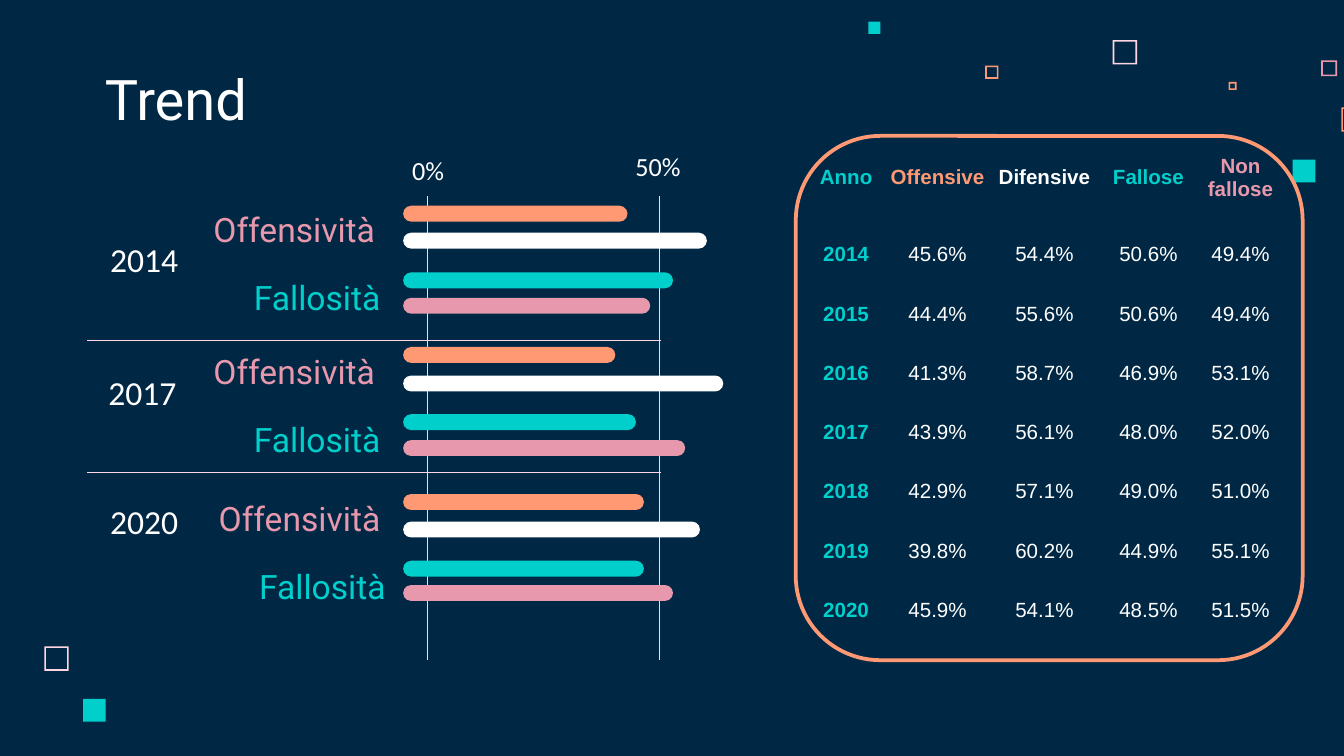
from lxml import etree
from pptx import Presentation, util as u
from pptx.dml.color import RGBColor
from pptx.enum import shapes, text
from pptx.oxml.ns import qn

COLORS = {
    "navy": "002845", "white": "FFFFFF", "orange": "FF9973",
    "teal": "00CFCC", "rose": "E898AC", "blush": "FFD6E1",
}
NO_GRID_STYLE = "{2D5ABB26-0587-4C30-8999-92F81FD0307C}"

presentation = Presentation()
presentation.slide_width, presentation.slide_height = u.Cm(25.4), u.Cm(14.29)
slide = presentation.slides.add_slide(presentation.slide_layouts[5])
slide.background.fill.solid()
slide.background.fill.fore_color.rgb = RGBColor.from_string(COLORS["navy"])


def add_filled(kind, left, top, width, height, color, adjustment=None):
    shape = slide.shapes.add_shape(kind, u.Cm(left), u.Cm(top), u.Cm(width), u.Cm(height))
    shape.shadow.inherit = False
    shape.fill.solid()
    shape.fill.fore_color.rgb = RGBColor.from_string(COLORS[color])
    shape.line.fill.background()
    if adjustment is not None:
        shape.adjustments[0] = adjustment


def write(frame, words, size, font, color, align=text.PP_ALIGN.LEFT, bold=False):
    frame.text = words
    frame.word_wrap = True
    paragraph = frame.paragraphs[0]
    paragraph.alignment = align
    paragraph.font.size = u.Pt(size)
    paragraph.font.name = font
    paragraph.font.bold = bold
    paragraph.font.color.rgb = RGBColor.from_string(COLORS[color])


frames = [
    (21.03, 0.76, 0.46, "blush"), (24.97, 1.14, 0.3, "rose"),
    (23.22, 1.55, 0.15, "orange"), (25.35, 2.03, 0.46, "orange"),
    (18.62, 1.24, 0.25, "orange"), (0.84, 12.22, 0.46, "blush"),
]
for left, top, size, color in frames:
    add_filled(shapes.MSO_SHAPE.FRAME, left, top, size, size, color, 0.03 / size)

squares = [(24.43, 3.02, 0.43), (16.41, 0.41, 0.23), (1.57, 13.21, 0.43)]
for left, top, size in squares:
    add_filled(shapes.MSO_SHAPE.RECTANGLE, left, top, size, size, "teal")

title = slide.shapes.title
title.left, title.top, title.width, title.height = u.Cm(1.73), u.Cm(1.14), u.Cm(13.13), u.Cm(1.6)
write(title.text_frame, "Trend", 30, "Roboto", "white")
title.text_frame.auto_size = text.MSO_AUTO_SIZE.NONE
title.text_frame.vertical_anchor = text.MSO_ANCHOR.BOTTOM
title.text_frame.margin_top = title.text_frame.margin_bottom = u.Cm(0.25)

grid_lines = [
    (8.08, 3.71, 8.08, 12.47), (12.45, 3.71, 12.45, 12.47),
    (1.65, 6.43, 12.5, 6.43), (1.65, 8.92, 12.5, 8.92),
]
for ends in grid_lines:
    line = slide.shapes.add_connector(
        shapes.MSO_CONNECTOR.STRAIGHT, *[u.Cm(value) for value in ends])
    line.line.color.rgb = RGBColor.from_string(COLORS["blush"])
    line.line.width = u.Pt(0.25)
    etree.SubElement(line._element.spPr, qn("a:effectLst"))

bar_colors = ["orange", "white", "teal", "rose"]
years = [
    ("2014", 1.83, 4.39, 3.78, 3.84, [(3.89, 4.24), (4.4, 5.74), (5.15, 5.1), (5.63, 4.67)]),
    ("2017", 1.8, 6.91, 3.78, 6.53, [(6.56, 4.01), (7.1, 6.05), (7.83, 4.4), (8.32, 5.33)]),
    ("2020", 1.83, 9.35, 3.88, 9.3, [(9.34, 4.55), (9.86, 5.61), (10.6, 4.55), (11.06, 5.1)]),
]
for year, year_left, year_top, label_left, label_top, bars in years:
    for color, (top, width) in zip(bar_colors, bars):
        add_filled(shapes.MSO_SHAPE.ROUNDED_RECTANGLE, 7.62, top, width, 0.3, color, 0.5)

    labels = [("Offensività", "rose", 0, 0), ("Fallosità", "teal", 0.1, 1.29)]
    for words, color, shift_x, shift_y in labels:
        box = slide.shapes.add_textbox(
            u.Cm(label_left + shift_x), u.Cm(label_top + shift_y), u.Cm(3.56), u.Cm(1.12))
        write(box.text_frame, words, 18, "Roboto", color, text.PP_ALIGN.RIGHT)
        box.text_frame.vertical_anchor = text.MSO_ANCHOR.BOTTOM
        box.text_frame.margin_top = box.text_frame.margin_bottom = u.Cm(0.25)

    box = slide.shapes.add_textbox(u.Cm(year_left), u.Cm(year_top), u.Cm(2.13), u.Cm(1.02))
    write(box.text_frame, year, 18, "Calibri", "white")

for words, left, top, width in [("0%", 7.54, 2.79, 1.45), ("50%", 11.76, 2.72, 2.31)]:
    box = slide.shapes.add_textbox(u.Cm(left), u.Cm(top), u.Cm(width), u.Cm(0.86))
    write(box.text_frame, words, 14, "Calibri", "white")

rows = [
    ["Anno", "Offensive", "Difensive", "Fallose", "Non fallose"],
    ["2014", "45.6%", "54.4%", "50.6%", "49.4%"],
    ["2015", "44.4%", "55.6%", "50.6%", "49.4%"],
    ["2016", "41.3%", "58.7%", "46.9%", "53.1%"],
    ["2017", "43.9%", "56.1%", "48.0%", "52.0%"],
    ["2018", "42.9%", "57.1%", "49.0%", "51.0%"],
    ["2019", "39.8%", "60.2%", "44.9%", "55.1%"],
    ["2020", "45.9%", "54.1%", "48.5%", "51.5%"],
]
column_widths = [1.5, 1.96, 2.08, 1.85, 1.63]
header_colors = ["teal"] + bar_colors
table = slide.shapes.add_table(
    len(rows), len(column_widths), u.Cm(15.24), u.Cm(2.79),
    u.Cm(sum(column_widths)), u.Cm(1.12 * len(rows))).table
table.first_row = table.horz_banding = False
table._tbl.tblPr.find(qn("a:tableStyleId")).text = NO_GRID_STYLE
for column, width in zip(table.columns, column_widths):
    column.width = u.Cm(width)
for row_index, row in enumerate(rows):
    for column_index, words in enumerate(row):
        cell = table.cell(row_index, column_index)
        is_header = row_index == 0
        emphasized = is_header or column_index == 0
        cell.fill.background()
        cell.margin_left = cell.margin_right = cell.margin_top = u.Cm(0.02)
        cell.margin_bottom = 0
        cell.vertical_anchor = text.MSO_ANCHOR.MIDDLE if is_header else text.MSO_ANCHOR.BOTTOM
        color = header_colors[column_index] if emphasized else "white"
        write(cell.text_frame, words, 11, "Arial", color, text.PP_ALIGN.CENTER, emphasized)

border = slide.shapes.add_shape(
    shapes.MSO_SHAPE.ROUNDED_RECTANGLE, u.Cm(15.04), u.Cm(2.57), u.Cm(9.58), u.Cm(9.91))
border.shadow.inherit = False
border.fill.background()
border.line.color.rgb = RGBColor.from_string(COLORS["orange"])
border.line.width = u.Pt(2)

presentation.save("out.pptx")
